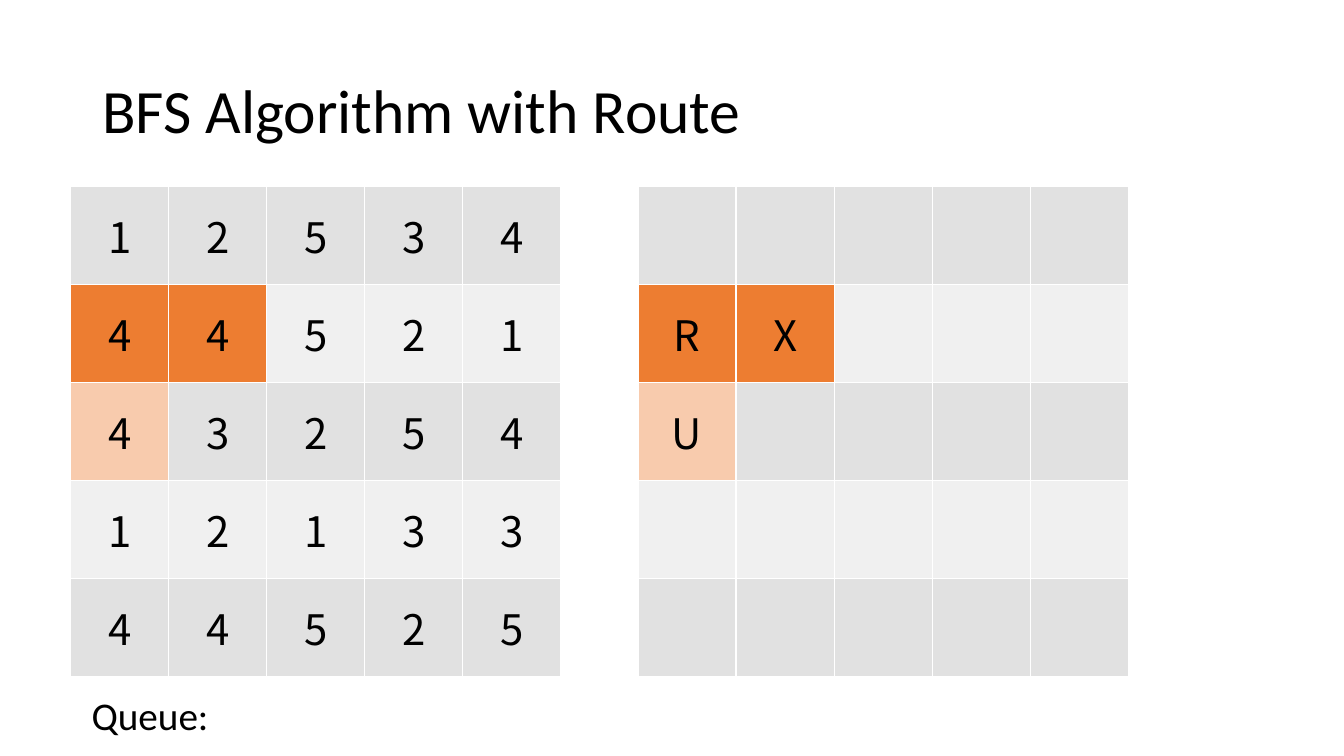
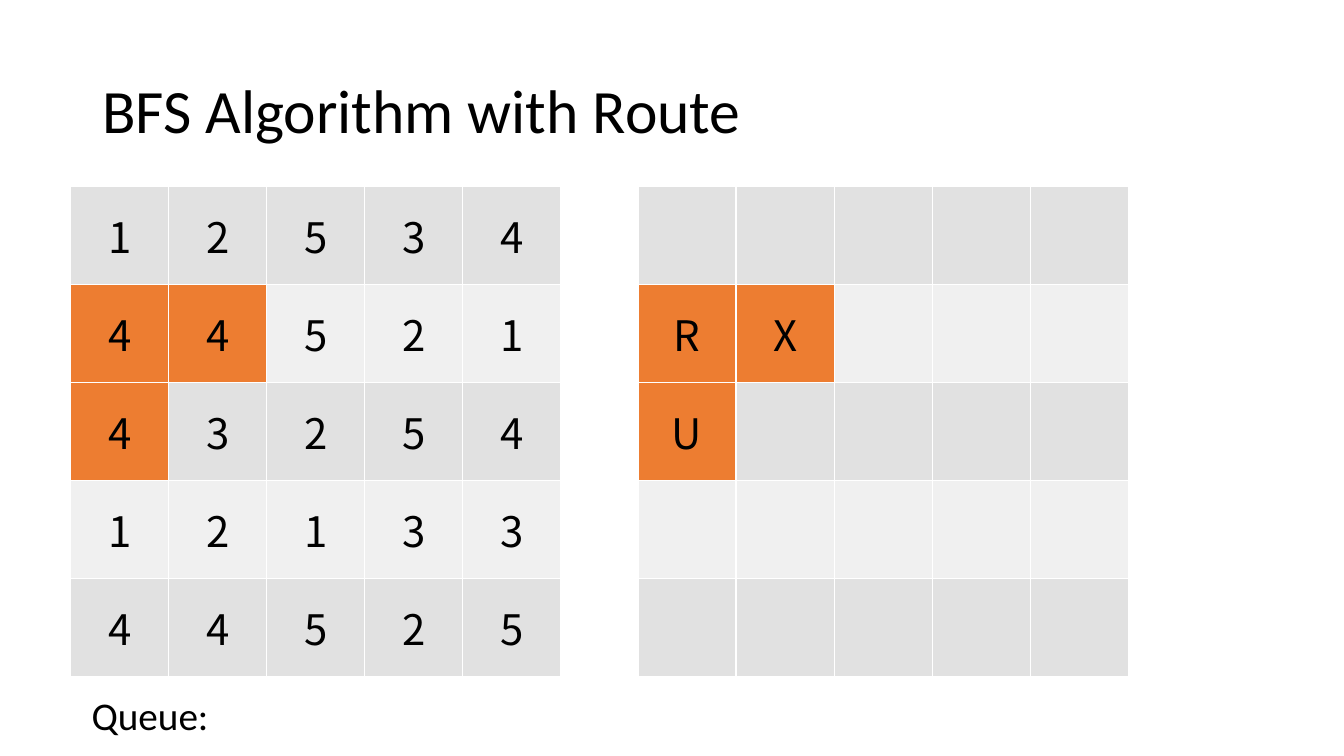
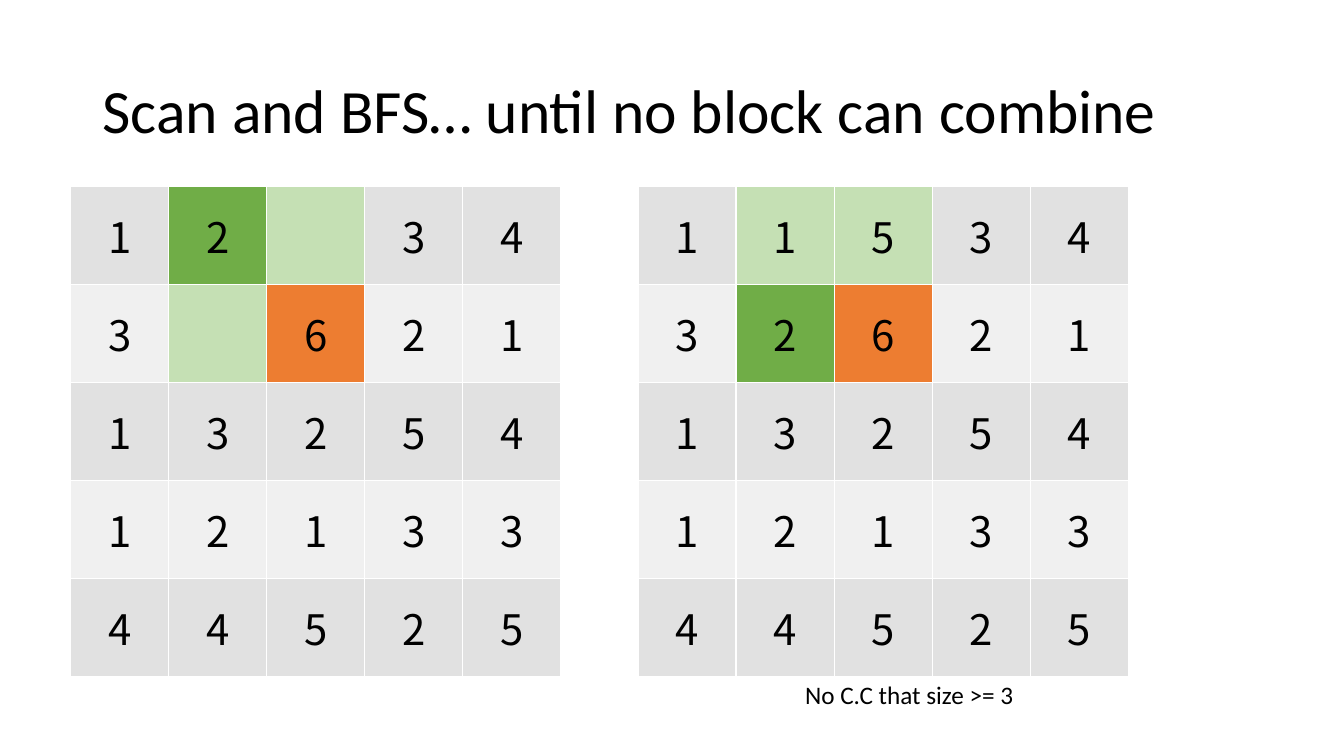
from lxml.etree import SubElement
from pptx import Presentation
from pptx.dml.color import RGBColor
from pptx.enum.text import MSO_ANCHOR as Anchor, MSO_AUTO_SIZE as AutoSize, PP_ALIGN as Align
from pptx.oxml.ns import qn
from pptx.util import Cm, Pt

BLACK, WHITE = "000000", "FFFFFF"
BANDS = ("E1E1E1", "F0F0F0")
ORANGE, PALE_ORANGE = "ED7D31", "F8CBAD"
GREEN, PALE_GREEN = "70AD47", "C5E0B4"
TEXT_FONT, CELL_FONT = "Calibri", "Noto Sans CJK JP"

TITLE_BOX = (2.33, 1.01, 29.21, 3.68)
GRID_LEFTS = (1.78, 16.08)
GRID_TOP = 4.7
CELL_SIZE = 2.47
BLANK = "."

START_BOARD = ("12534", "44521", "43254", "12133", "44525")
ROUTE_BOARD = (".....", "RX...", "U....", ".....", ".....")
LOWER_ROWS = ("13254", "12133", "44525")
GAP_BOARD = ("12.34", "3.621", *LOWER_ROWS)
FILLED_BOARD = ("11534", "32621", *LOWER_ROWS)

VISITED = {(1, 0): ORANGE, (1, 1): ORANGE}
QUEUE_LABEL = {"text": "Queue:", "box": (2.06, 17.3, 3.71, 1.45), "size": 28, "wrap": False}
RESULT_LABEL = {"text": "No C.C that size >= 3", "box": (20.04, 16.99, 8.41, 1.02), "size": 18, "wrap": True}


def route_slide(last_colour):
    marks = {**VISITED, (2, 0): last_colour}
    return {
        "title": "BFS Algorithm with Route",
        "grids": [(START_BOARD, marks), (ROUTE_BOARD, marks)],
        "label": QUEUE_LABEL,
    }


SLIDES = [
    route_slide(PALE_ORANGE),
    route_slide(ORANGE),
    {
        "title": "Scan and BFS… until no block can combine",
        "grids": [
            (GAP_BOARD, {(0, 1): GREEN, (0, 2): PALE_GREEN, (1, 1): PALE_GREEN, (1, 2): ORANGE}),
            (FILLED_BOARD, {(0, 1): PALE_GREEN, (0, 2): PALE_GREEN, (1, 1): GREEN, (1, 2): ORANGE}),
        ],
        "label": RESULT_LABEL,
    },
]


def colour(value):
    return RGBColor.from_string(value)


def lengths(box):
    return [Cm(value) for value in box]


def style_paragraph(paragraph, size, font_name=TEXT_FONT, align=Align.LEFT):
    paragraph.alignment = align
    paragraph.font.size = Pt(size)
    paragraph.font.name = font_name
    paragraph.font.color.rgb = colour(BLACK)


def set_borders(cell):
    properties = cell._tc.get_or_add_tcPr()
    for side in ("lnL", "lnR", "lnT", "lnB"):
        line = SubElement(properties, qn(f"a:{side}"), w=str(Pt(1)))
        fill = SubElement(line, qn("a:solidFill"))
        SubElement(fill, qn("a:srgbClr"), val=WHITE)


def fill_cell(cell, text, fill_colour):
    set_borders(cell)
    cell.fill.solid()
    cell.fill.fore_color.rgb = colour(fill_colour)
    cell.vertical_anchor = Anchor.MIDDLE
    if text != BLANK:
        cell.text = text
        style_paragraph(cell.text_frame.paragraphs[0], 30, CELL_FONT, Align.CENTER)


def add_grid(slide, left, board, marks):
    row_count, column_count = len(board), len(board[0])
    box = (left, GRID_TOP, column_count * CELL_SIZE, row_count * CELL_SIZE)
    table = slide.shapes.add_table(row_count, column_count, *lengths(box)).table
    table.first_row = table.horz_banding = False
    for row, values in enumerate(board):
        for column, text in enumerate(values):
            fill_colour = marks.get((row, column), BANDS[row % 2])
            fill_cell(table.cell(row, column), text, fill_colour)


def add_title(slide, text):
    frame = slide.shapes.title.text_frame
    frame.text = text
    frame.auto_size = AutoSize.NONE
    frame.vertical_anchor = Anchor.MIDDLE
    paragraph = frame.paragraphs[0]
    paragraph.line_spacing = 0.9
    style_paragraph(paragraph, 44)


def add_label(slide, text, box, size, wrap):
    frame = slide.shapes.add_textbox(*lengths(box)).text_frame
    frame.text = text
    frame.word_wrap = wrap
    frame.auto_size = AutoSize.SHAPE_TO_FIT_TEXT
    style_paragraph(frame.paragraphs[0], size)


def main():
    presentation = Presentation()
    presentation.slide_width, presentation.slide_height = Cm(33.87), Cm(19.05)
    layout = presentation.slide_layouts.get_by_name("Title Only")
    title = layout.placeholders[0]
    title.left, title.top, title.width, title.height = lengths(TITLE_BOX)
    for content in SLIDES:
        slide = presentation.slides.add_slide(layout)
        add_title(slide, content["title"])
        for left, (board, marks) in zip(GRID_LEFTS, content["grids"]):
            add_grid(slide, left, board, marks)
        add_label(slide, **content["label"])
    presentation.save("out.pptx")


if __name__ == "__main__":
    main()
